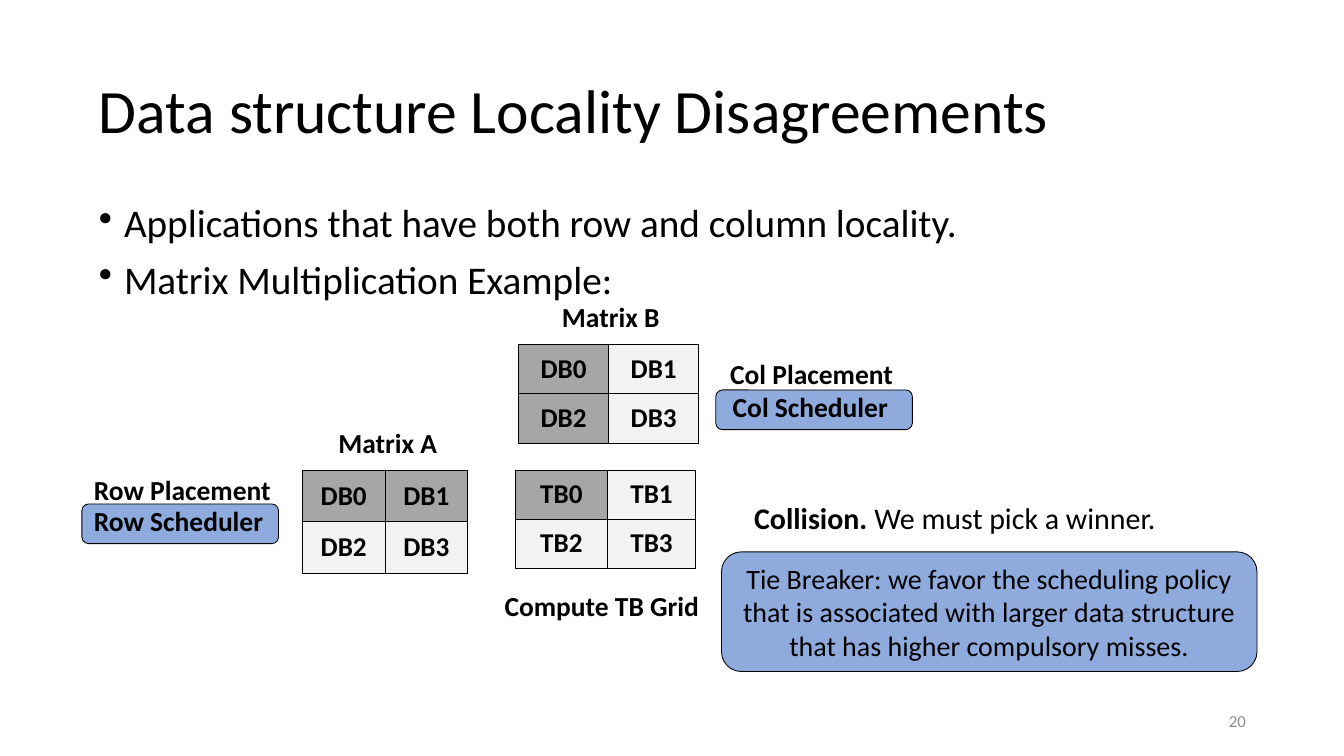
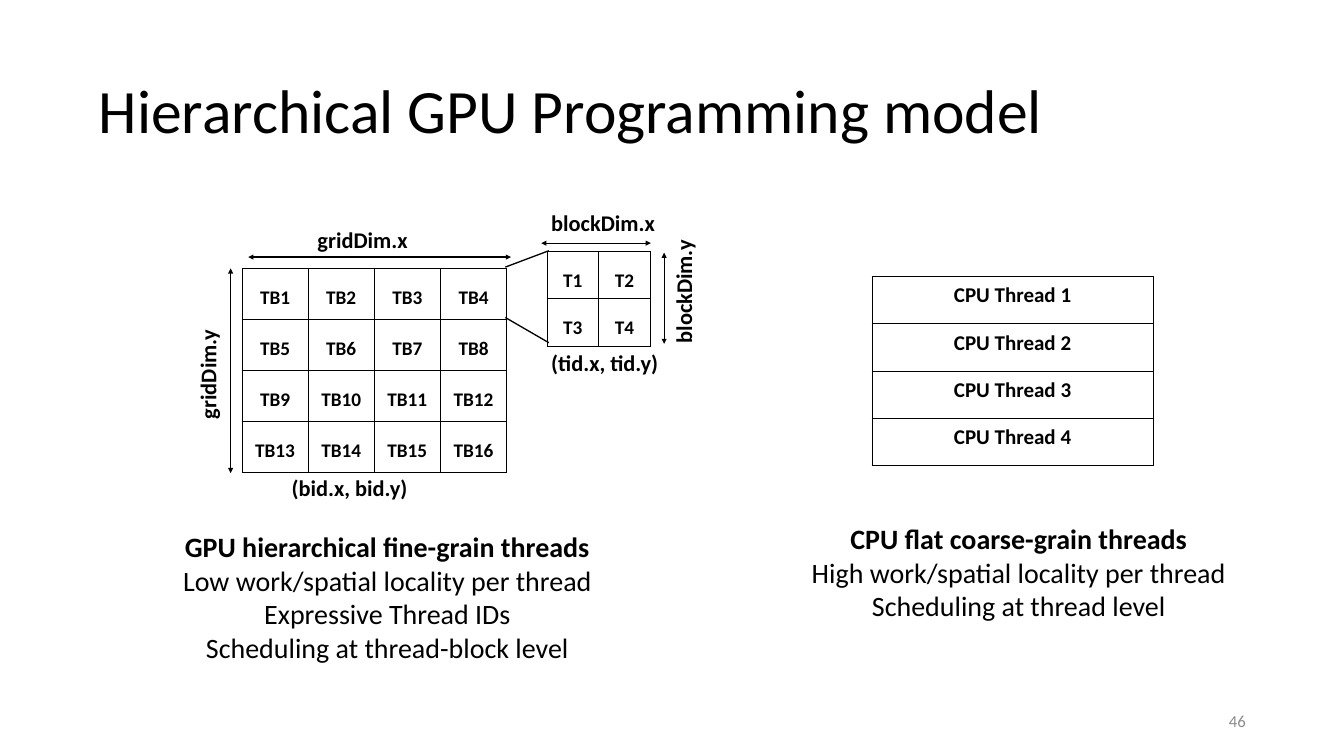
from lxml import etree
from pptx import Presentation
from pptx.dml.color import RGBColor
from pptx.enum.shapes import MSO_CONNECTOR, MSO_SHAPE
from pptx.enum.text import MSO_ANCHOR, PP_ALIGN
from pptx.oxml.ns import qn
from pptx.util import Inches, Pt

LEFT, CENTER, RIGHT = PP_ALIGN.LEFT, PP_ALIGN.CENTER, PP_ALIGN.RIGHT
TOP, MIDDLE = MSO_ANCHOR.TOP, MSO_ANCHOR.MIDDLE
ROUND = MSO_SHAPE.ROUNDED_RECTANGLE
STRAIGHT = MSO_CONNECTOR.STRAIGHT

FONT = "Calibri"
COLORS = {
    "ink": "000000",
    "page": "8C8C8C",
    "blue": "8FAADC",
    "dark": "A6A6A6",
    "light": "F2F2F2",
}


def color(name):
    return RGBColor.from_string(COLORS[name])


def style(font, size, bold=None, ink="ink"):
    font.name = FONT
    font.size = Pt(size)
    font.bold = bold
    font.color.rgb = color(ink)


def add_text(slide, box, lines, size, bold=False, ink="ink", align=LEFT,
             anchor=TOP, wrap=True, turn=0):
    """Add one paragraph per line and return the paragraphs."""
    shape = slide.shapes.add_textbox(*map(Inches, box))
    shape.rotation = turn
    frame = shape.text_frame
    frame.word_wrap = wrap
    frame.vertical_anchor = anchor
    frame.text = "\n".join(lines)
    for para in frame.paragraphs:
        para.alignment = align
        style(para.font, size, bold, ink)
    return frame.paragraphs


def add_label(slide, x, y, w, text, size=31.4, h=0.63, turn=0):
    add_text(slide, (x, y, w, h), [text], size, bold=True, wrap=False, turn=turn)


def add_mark(slide, x, y, w, text, turn=0):
    """Add a small dimension or index label."""
    add_label(slide, x, y, w, text, size=25.6, h=0.96, turn=turn)


def add_frame(prs, title, page):
    """Add a slide with its title and page number."""
    slide = prs.slides.add_slide(prs.slide_layouts[6])
    head = add_text(slide, (1.47, 0.64, 18.4, 2.32), [title], 70.4, anchor=MIDDLE)
    head[0].line_spacing = 0.9
    add_text(slide, (15.07, 11.12, 4.8, 0.64), [str(page)], 19.2,
             ink="page", align=RIGHT, anchor=MIDDLE)
    return slide


def add_bullets(slide, box, lines, size):
    for i, para in enumerate(add_text(slide, box, lines, size)):
        props = para._p.get_or_add_pPr()
        props.set("marL", str(Inches(0.4)))
        props.set("indent", str(-Inches(0.4)))
        bullet = etree.Element(qn("a:buChar"), char="•")
        props.insert_element_before(bullet, "a:tabLst", "a:defRPr", "a:extLst")
        para.line_spacing = 0.9
        if i:
            para.space_before = Pt(16)


def add_pill(slide, box, text=None):
    shape = slide.shapes.add_shape(ROUND, *map(Inches, box))
    shape.shadow.inherit = False
    shape.fill.solid()
    shape.fill.fore_color.rgb = color("blue")
    shape.line.color.rgb = color("ink")
    shape.line.width = Pt(1)
    if text:
        frame = shape.text_frame
        frame.word_wrap = True
        frame.text = text
        frame.paragraphs[0].alignment = CENTER
        style(frame.paragraphs[0].font, 32)


def add_border(cell):
    props = cell._tc.get_or_add_tcPr()
    for side in ("lnL", "lnR", "lnT", "lnB"):
        line = etree.SubElement(props, qn("a:" + side), w=str(Pt(1)))
        fill = etree.SubElement(line, qn("a:solidFill"))
        etree.SubElement(fill, qn("a:srgbClr"), val=COLORS["ink"])


def add_grid(slide, x, y, cols, high, rows, size, pad, anchor=TOP,
             space=None, dark=None):
    """Add a bordered table; dark holds the (row, column) cells to shade."""
    shape = slide.shapes.add_table(
        len(rows), len(cols), Inches(x), Inches(y),
        Inches(sum(cols)), Inches(high * len(rows)))
    table = shape.table
    table.first_row = table.horz_banding = False
    for col, wide in zip(table.columns, cols):
        col.width = Inches(wide)
    for r, row in enumerate(rows):
        table.rows[r].height = Inches(high)
        for c, text in enumerate(row):
            cell = table.cell(r, c)
            add_border(cell)
            if dark is None:
                cell.fill.background()
            else:
                cell.fill.solid()
                cell.fill.fore_color.rgb = color("dark" if (r, c) in dark else "light")
            cell.margin_left = cell.margin_right = Inches(pad)
            cell.margin_top = cell.margin_bottom = Inches(pad / 2)
            cell.vertical_anchor = anchor
            cell.text = text
            para = cell.text_frame.paragraphs[0]
            para.alignment = CENTER
            para.line_spacing = space
            style(para.font, size, True)


def add_blocks(slide, x, y, cols, high, kind, dark):
    """Add a two by two matrix of numbered blocks."""
    rows = [[f"{kind}{2 * r + c}" for c in range(2)] for r in range(2)]
    add_grid(slide, x, y, cols, high, rows, 31, 0.14, MIDDLE, dark=dark)


def add_threads(slide, x, y, wide, high, kind, count):
    """Add a square grid of threads numbered from 1."""
    rows = [[f"{kind}{count * r + c + 1}" for c in range(count)]
            for r in range(count)]
    add_grid(slide, x, y, [wide] * count, high, rows, 22, 0.2, space=1.5)


def add_line(slide, start, end, width=1.5, heads=True):
    line = slide.shapes.add_connector(STRAIGHT, *map(Inches, start + end))
    line.line.color.rgb = color("ink")
    line.line.width = Pt(width)
    if heads:
        for tip in ("headEnd", "tailEnd"):
            etree.SubElement(line.line._get_or_add_ln(), qn("a:" + tip), type="triangle")
    etree.SubElement(line._element.spPr, qn("a:effectLst"))


def build_locality(prs):
    slide = add_frame(prs, "Data structure Locality Disagreements", 20)
    add_bullets(slide, (1.47, 3.19, 18.4, 7.61), [
        "Applications that have both row and column locality.",
        "Matrix Multiplication Example:",
    ], 44.8)

    add_pill(slide, (1.3, 8, 3.12, 0.63))
    add_pill(slide, (11.36, 6.19, 3.12, 0.63))
    add_blocks(slide, 4.8, 7.46, [1.31, 1.31], 0.82, "DB", {(0, 0), (0, 1)})
    add_blocks(slide, 8.18, 7.46, [1.46, 1.4], 0.78, "TB", {(0, 0)})
    add_blocks(slide, 8.23, 5.47, [1.43, 1.43], 0.78, "DB", {(0, 0), (1, 0)})

    for x, y, w, text in (
        (5.27, 6.71, 1.78, "Matrix A"),
        (7.91, 9.3, 3.32, "Compute TB Grid"),
        (8.82, 4.72, 1.77, "Matrix B"),
        (11.49, 5.62, 2.81, "Col Placement"),
        (11.53, 6.14, 2.69, "Col Scheduler"),
        (1.39, 7.46, 3.03, "Row Placement"),
        (1.39, 7.95, 2.91, "Row Scheduler"),
    ):
        add_label(slide, x, y, w, text)

    para = add_text(slide, (11.87, 7.88, 6.72, 0.68), ["Collision. "], 34.2,
                    wrap=False)[0]
    para.runs[0].font.bold = True
    para.add_run().text = "We must pick a winner."
    add_pill(slide, (11.45, 8.76, 8.5, 1.9),
             "Tie Breaker: we favor the scheduling policy that is associated "
             "with larger data structure that has higher compulsory misses.")


def build_model(prs):
    slide = add_frame(prs, "Hierarchical GPU Programming model", 46)
    threads = [[f"CPU Thread {n}"] for n in range(1, 5)]
    add_grid(slide, 13.84, 4.39, [4.46], 0.75, threads, 24, 0.2)
    add_threads(slide, 3.84, 4.26, 1.05, 0.81, "TB", 4)
    add_threads(slide, 8.68, 3.99, 0.82, 0.73, "T", 2)

    for box, lines in (
        ((12.48, 8.23, 7.38, 2.26), [
            "CPU flat coarse-grain threads",
            "High work/spatial locality per thread",
            "Scheduling at thread level",
        ]),
        ((1.47, 8.36, 9.36, 2.26), [
            "GPU hierarchical fine-grain threads",
            "Low work/spatial locality per thread",
            "Expressive Thread IDs",
            "Scheduling at thread-block level",
        ]),
    ):
        add_text(slide, box, lines, 32, align=CENTER)[0].font.bold = True

    add_line(slide, (8.02, 4.24), (8.71, 3.98), heads=False)
    add_line(slide, (8.02, 5.04), (8.71, 5.44), heads=False)
    add_line(slide, (3.94, 4.08), (8.11, 4.08))
    add_line(slide, (3.66, 7.51), (3.66, 4.26))
    add_line(slide, (8.59, 3.86), (10.33, 3.86), width=0.5)
    add_line(slide, (10.54, 5.46), (10.54, 4.01), width=0.5)

    add_mark(slide, 4.94, 3.54, 1.65, "gridDim.x")
    add_mark(slide, 2.69, 5.45, 1.64, "gridDim.y", turn=270)
    add_mark(slide, 8.65, 3.27, 1.87, "blockDim.x")
    add_mark(slide, 10.13, 4.14, 1.86, "blockDim.y", turn=270)
    add_mark(slide, 4.53, 7.47, 2.06, "(bid.x, bid.y)")
    add_mark(slide, 8.65, 5.49, 1.93, "(tid.x, tid.y)")


def main():
    prs = Presentation()
    prs.slide_width = Inches(21.33)
    prs.slide_height = Inches(12)
    build_locality(prs)
    build_model(prs)
    prs.save("out.pptx")


if __name__ == "__main__":
    main()
